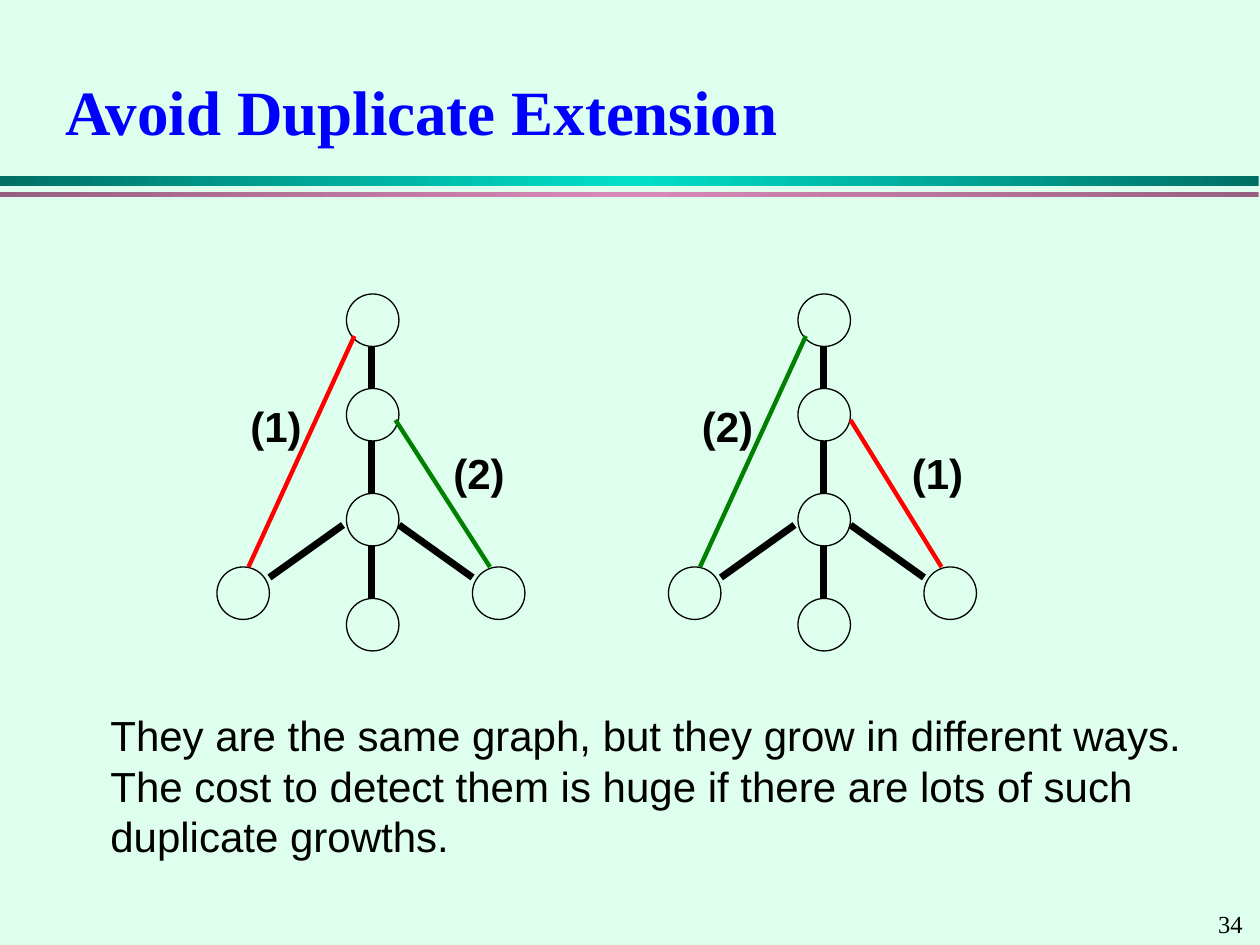
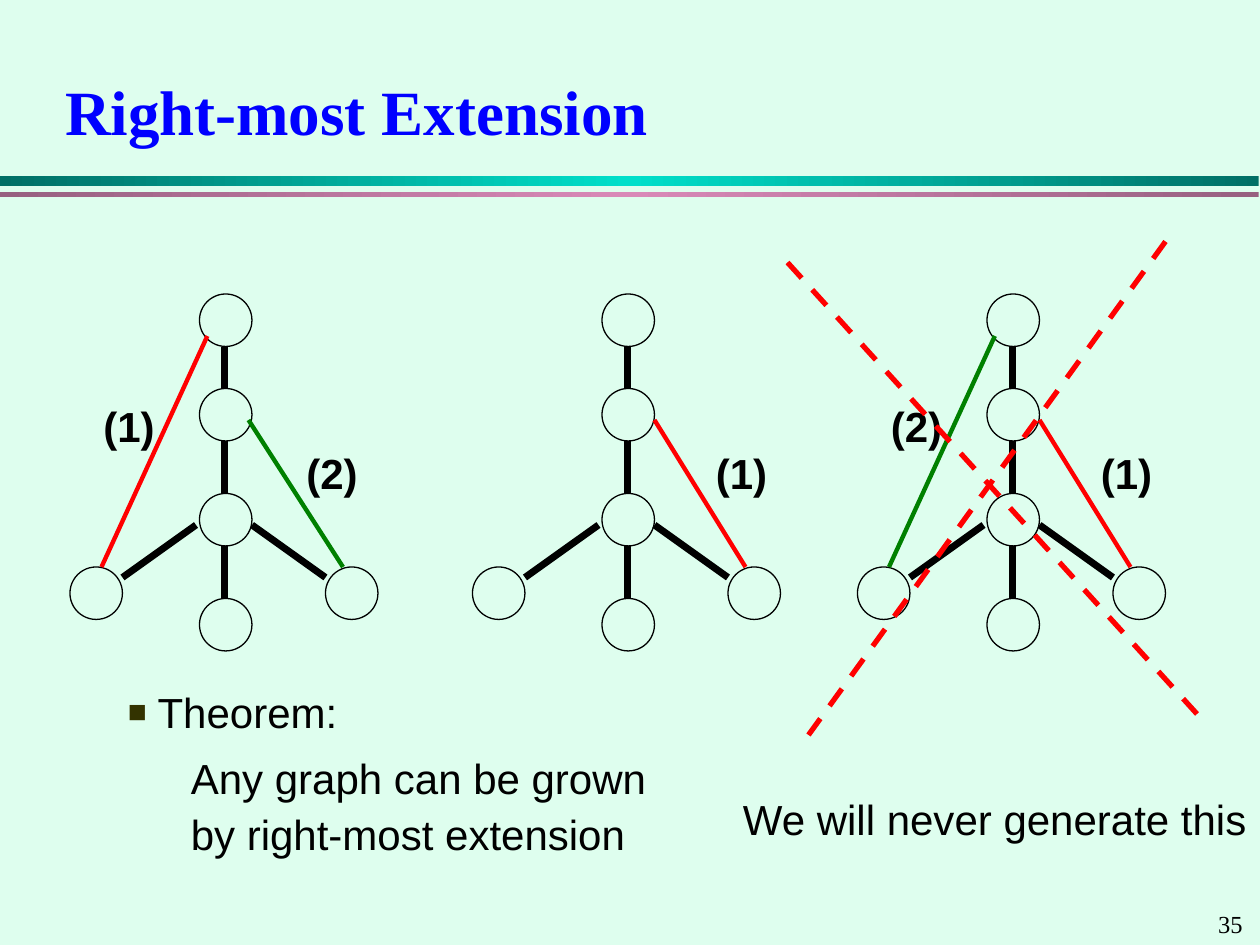
from copy import deepcopy

from lxml import etree
from pptx import Presentation
from pptx.dml.color import RGBColor
from pptx.enum import dml, shapes, text
from pptx.oxml import ns
from pptx.util import Pt

BACKGROUND = RGBColor(0xDE, 0xFE, 0xEE)
BLACK = RGBColor(0, 0, 0)
TITLE_BLUE = RGBColor(0, 0, 0xFF)
RED = RGBColor(0xFF, 0, 0)
GREEN = RGBColor(0, 0x80, 0)
TEAL_EDGE = RGBColor(0, 0x6F, 0x65)
TEAL_CENTRE = RGBColor(0, 0xDF, 0xCA)
PINK_EDGE = RGBColor(0x97, 0x60, 0x80)
PINK_CENTRE = RGBColor(0xD9, 0x89, 0xB8)

SANS = "Arial"
SERIF = "Times New Roman"
BODY_SIZE = 24
NODE_SIZE = 30
NODES = [(0, 168, True), (0, 282, True), (0, 222, True),
         (0, 342, False), (72, 324, True), (-74, 324, False)]
BONDS = [((14.5, 198), (14.5, 222)), ((14.5, 252), (14.5, 282)),
         ((14.5, 312), (14.5, 342)), ((30, 300), (72, 330)),
         ((-2, 300), (-44, 330))]
LINK_COLORS = {1: RED, 2: GREEN}
INNER_START = {1: 30, 2: 28}
INNER_LABEL = {1: 58, 2: 54}


def format_text(text_frame, size, font_name, color, bold=False):
    for paragraph in text_frame.paragraphs:
        for run in paragraph.runs:
            run.font.size = Pt(size)
            run.font.name = font_name
            run.font.color.rgb = color
            run.font.bold = bold


def add_text(slide, box, content, size=BODY_SIZE, font_name=SANS, bold=False, wrap=False):
    text_frame = slide.shapes.add_textbox(*map(Pt, box)).text_frame
    text_frame.word_wrap = wrap
    text_frame.text = content
    format_text(text_frame, size, font_name, BLACK, bold)
    return text_frame


def add_line(slide, start, end, color, width, dashed=False):
    connector = slide.shapes.add_connector(
        shapes.MSO_CONNECTOR.STRAIGHT, *map(Pt, (*start, *end)))
    connector.line.color.rgb = color
    connector.line.width = Pt(width)
    if dashed:
        connector.line.dash_style = dml.MSO_LINE.DASH
    etree.SubElement(connector._element.spPr, ns.qn("a:effectLst"))


def add_band(slide, top, height, edge, centre):
    band = slide.shapes.add_shape(
        shapes.MSO_SHAPE.RECTANGLE, *map(Pt, (0, top, 719.3, height)))
    band.shadow.inherit = False
    band.line.fill.background()
    band.fill.gradient()
    band.fill.gradient_angle = 0
    stop_list = band._element.spPr.find(".//" + ns.qn("a:gsLst"))
    stop_list.append(deepcopy(stop_list[0]))
    colors = (edge, centre, edge)
    for stop, position, color in zip(band.fill.gradient_stops, (0, 0.5, 1), colors):
        stop.position = position
        stop.color.rgb = color


def add_titled_slide(presentation, title, number):
    slide = presentation.slides.add_slide(presentation.slide_layouts[5])
    add_band(slide, 100.8, 5.6, TEAL_EDGE, TEAL_CENTRE)
    add_band(slide, 109.6, 2.9, PINK_EDGE, PINK_CENTRE)
    add_text(slide, (689, 516, 31, 24), str(number), 14, SERIF)
    placeholder = slide.shapes.title
    placeholder.left, placeholder.top = Pt(30), Pt(30)
    placeholder.width, placeholder.height = Pt(660), Pt(66)
    text_frame = placeholder.text_frame
    text_frame.text = title
    text_frame.vertical_anchor = text.MSO_ANCHOR.MIDDLE
    text_frame.paragraphs[0].alignment = text.PP_ALIGN.LEFT
    format_text(text_frame, 36, SERIF, TITLE_BLUE, bold=True)
    return slide


def add_node(slide, left, top, filled):
    node = slide.shapes.add_shape(
        shapes.MSO_SHAPE.OVAL, *map(Pt, (left, top, NODE_SIZE, NODE_SIZE)))
    node.shadow.inherit = False
    node.line.color.rgb = BLACK
    node.line.width = Pt(0.75)
    if filled:
        node.fill.solid()
        node.fill.fore_color.rgb = BACKGROUND
    else:
        node.fill.background()


def add_link(slide, start, end, label_left, label_top, step):
    add_line(slide, start, end, LINK_COLORS[step], 2.5)
    add_text(slide, (label_left, label_top, 44, 36), f"({step})", bold=True)


def add_graph(slide, left, inner_step, outer_step=None):
    for offset, top, filled in NODES:
        add_node(slide, left + offset, top, filled)
    for (start_x, start_y), (end_x, end_y) in BONDS:
        add_line(slide, (left + start_x, start_y), (left + end_x, end_y), BLACK, 4)
    if outer_step:
        add_link(slide, (left + 4.5, 192), (left - 56, 324),
                 left - 62, 225.4, outer_step)
    add_link(slide, (left + INNER_START[inner_step], 240), (left + 82, 324),
             left + INNER_LABEL[inner_step], 252, inner_step)


def add_bullet(paragraph, indent):
    properties = paragraph._p.get_or_add_pPr()
    properties.set("marL", str(Pt(indent)))
    properties.set("indent", str(-Pt(indent)))
    color = etree.SubElement(properties, ns.qn("a:buClr"))
    etree.SubElement(color, ns.qn("a:srgbClr"), val="333300")
    etree.SubElement(properties, ns.qn("a:buSzPct"), val="75000")
    etree.SubElement(properties, ns.qn("a:buFont"), typeface=SANS)
    etree.SubElement(properties, ns.qn("a:buChar"), char="■")


def add_theorem(slide):
    text_frame = add_text(
        slide, (66, 386, 324, 109),
        "Theorem:\nAny graph can be grown by right-most extension", wrap=True)
    heading, statement = text_frame.paragraphs
    add_bullet(heading, 17)
    statement._p.get_or_add_pPr().set("marL", str(Pt(36)))
    statement.space_before = Pt(6)
    for paragraph in (heading, statement):
        paragraph.line_spacing = 1.1


def build_duplicate_slide(presentation):
    slide = add_titled_slide(presentation, "Avoid Duplicate Extension", 34)
    add_graph(slide, 198, inner_step=2, outer_step=1)
    add_graph(slide, 456, inner_step=1, outer_step=2)
    add_text(slide, (56, 402, 640, 94),
             "They are the same graph, but they grow in different ways.\n"
             "The cost to detect them is huge if there are lots of such\n"
             "duplicate growths.")


def build_rightmost_slide(presentation):
    slide = add_titled_slide(presentation, "Right-most Extension", 35)
    add_graph(slide, 114, inner_step=2, outer_step=1)
    add_graph(slide, 344, inner_step=1)
    add_graph(slide, 564, inner_step=1, outer_step=2)
    add_line(slide, (450, 150), (684, 408), RED, 3, dashed=True)
    add_line(slide, (666, 138), (462, 420), RED, 3, dashed=True)
    add_text(slide, (417.5, 450, 302.5, 36), "We will never generate this")
    add_theorem(slide)


def main():
    presentation = Presentation()
    presentation.slide_width, presentation.slide_height = Pt(720), Pt(540)
    background = presentation.slide_master.background.fill
    background.solid()
    background.fore_color.rgb = BACKGROUND
    build_duplicate_slide(presentation)
    build_rightmost_slide(presentation)
    presentation.save("out.pptx")


if __name__ == "__main__":
    main()
